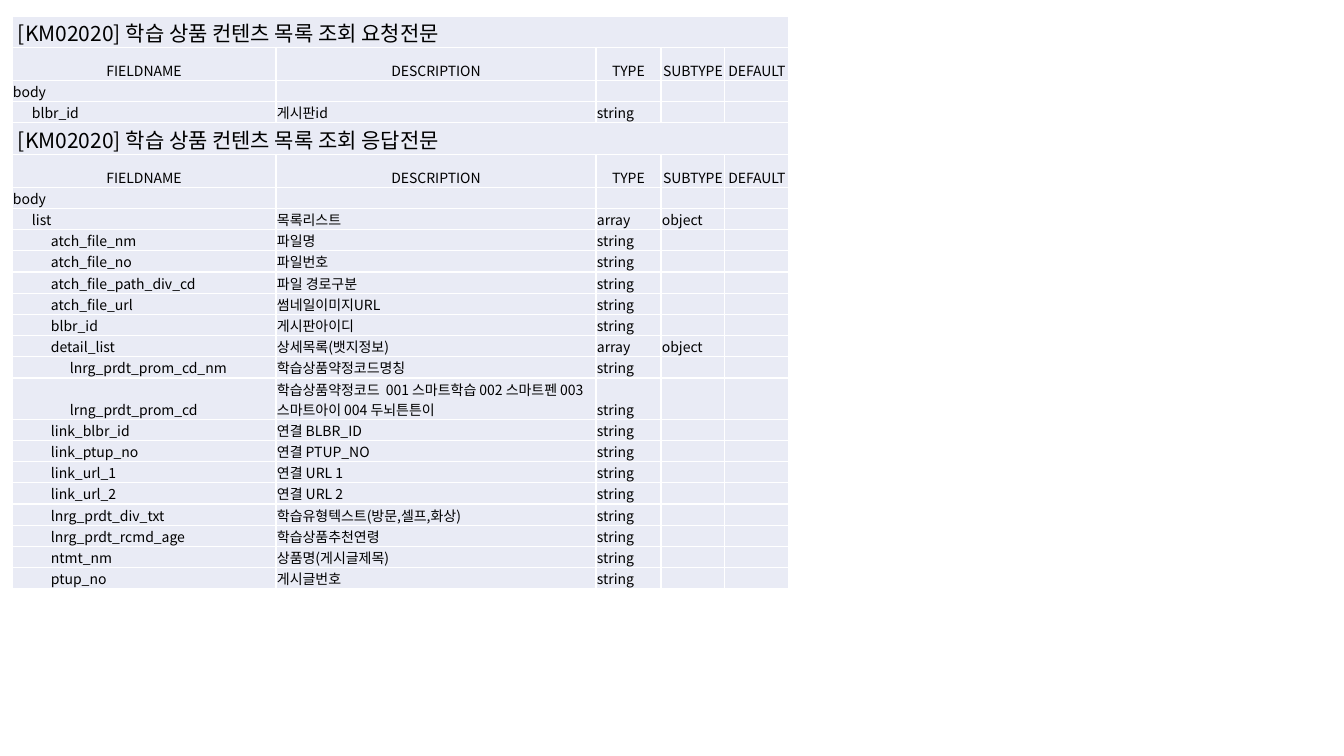
from dataclasses import dataclass

from lxml import etree
from pptx import Presentation
from pptx.dml.color import RGBColor
from pptx.enum.text import MSO_ANCHOR, PP_ALIGN
from pptx.oxml.ns import qn
from pptx.util import Pt

BOTTOM = MSO_ANCHOR.BOTTOM
LEFT, CENTER = PP_ALIGN.LEFT, PP_ALIGN.CENTER
EMU_PER_PX = 914400 / 100.8


@dataclass(frozen=True)
class Theme:
    font: str = "Noto Sans CJK KR"
    ink: str = "000000"
    cell: str = "E9EBF5"
    rule: str = "FFFFFF"
    rule_pt: int = 1
    title_pt: int = 15
    field_pt: int = 10


THEME = Theme()
SLIDE_SIZE = (1344, 756)
TABLE_BOX = (12, 16, 777)
COLUMN_SHARES = (264, 320, 65, 64, 64)
TITLE_HEIGHT, HEADER_HEIGHT, LINE_HEIGHT = 27, 33, 17
TITLE_INDENT, LEVEL_INDENT = 5, 19
HEADERS = ("FIELDNAME", "DESCRIPTION", "TYPE", "SUBTYPE", "DEFAULT")

# Field: level, name, description, type, subtype, lines
REQUEST = (
    "[KM02020] 학습 상품 컨텐츠 목록 조회 요청전문",
    [
        (0, "body", "", "", "", 1),
        (1, "blbr_id", "게시판id", "string", "", 1),
    ],
)
RESPONSE = (
    "[KM02020] 학습 상품 컨텐츠 목록 조회 응답전문",
    [
        (0, "body", "", "", "", 1),
        (1, "list", "목록리스트", "array", "object", 1),
        (2, "atch_file_nm", "파일명", "string", "", 1),
        (2, "atch_file_no", "파일번호", "string", "", 1),
        (2, "atch_file_path_div_cd", "파일 경로구분", "string", "", 1),
        (2, "atch_file_url", "썸네일이미지URL", "string", "", 1),
        (2, "blbr_id", "게시판아이디", "string", "", 1),
        (2, "detail_list", "상세목록(뱃지정보)", "array", "object", 1),
        (3, "lnrg_prdt_prom_cd_nm", "학습상품약정코드명칭", "string", "", 1),
        (3, "lrng_prdt_prom_cd",
         "학습상품약정코드  001 스마트학습 002 스마트펜 003 스마트아이 004 두뇌튼튼이",
         "string", "", 2),
        (2, "link_blbr_id", "연결 BLBR_ID", "string", "", 1),
        (2, "link_ptup_no", "연결 PTUP_NO", "string", "", 1),
        (2, "link_url_1", "연결 URL 1", "string", "", 1),
        (2, "link_url_2", "연결 URL 2", "string", "", 1),
        (2, "lnrg_prdt_div_txt", "학습유형텍스트(방문,셀프,화상)", "string", "", 1),
        (2, "lnrg_prdt_rcmd_age", "학습상품추천연령", "string", "", 1),
        (2, "ntmt_nm", "상품명(게시글제목)", "string", "", 1),
        (2, "ptup_no", "게시글번호", "string", "", 1),
    ],
)


def px(length):
    return round(length * EMU_PER_PX)


def rule_cell(cell):
    """Draw the four borders of a cell, placed ahead of its fill."""
    properties = cell._tc.get_or_add_tcPr()
    for position, side in enumerate(("lnL", "lnR", "lnT", "lnB")):
        border = etree.Element(qn(f"a:{side}"), w=str(Pt(THEME.rule_pt)))
        fill = etree.SubElement(border, qn("a:solidFill"))
        etree.SubElement(fill, qn("a:srgbClr"), val=THEME.rule)
        properties.insert(position, border)


def fill_cell(cell, text, size=THEME.field_pt, align=LEFT, indent=0):
    cell.fill.solid()
    cell.fill.fore_color.rgb = RGBColor.from_string(THEME.cell)
    cell.vertical_anchor = BOTTOM
    cell.margin_left = cell.margin_right = cell.margin_top = px(1)
    cell.margin_bottom = 0
    rule_cell(cell)
    paragraph = cell.text_frame.paragraphs[0]
    if not text:
        etree.SubElement(paragraph._p, qn("a:endParaRPr"), sz=str(size * 100))
        return
    paragraph.alignment = align
    if indent:
        paragraph._p.get_or_add_pPr().set("marL", str(px(indent)))
    run = paragraph.add_run()
    run.text = text
    run.font.size = Pt(size)
    run.font.name = THEME.font
    run.font.color.rgb = RGBColor.from_string(THEME.ink)
    etree.SubElement(run._r.get_or_add_rPr(), qn("a:ea"), typeface=THEME.font)


def fill_message(table, first_row, message):
    """Fill one message's title, header and fields; return the next free row."""
    title, fields = message
    title_cells = table.rows[first_row].cells
    for column, cell in enumerate(title_cells):
        fill_cell(cell, "" if column else title, THEME.title_pt, indent=TITLE_INDENT)
    table.cell(first_row, 0).merge(table.cell(first_row, len(HEADERS) - 1))
    table.rows[first_row].height = px(TITLE_HEIGHT)

    header_row = first_row + 1
    table.rows[header_row].height = px(HEADER_HEIGHT)
    for column, header in enumerate(HEADERS):
        fill_cell(table.cell(header_row, column), header, align=CENTER)

    for row, (level, *values, lines) in enumerate(fields, header_row + 1):
        table.rows[row].height = px(LINE_HEIGHT * lines)
        for column, value in enumerate((*values, "")):
            indent = 0 if column else level * LEVEL_INDENT
            fill_cell(table.cell(row, column), value, indent=indent)
    return header_row + 1 + len(fields)


def add_message_table(slide, box, messages):
    left, top, width = box
    row_count = sum(2 + len(fields) for _, fields in messages)
    frame = slide.shapes.add_table(
        row_count, len(HEADERS), px(left), px(top), px(width),
        px(LINE_HEIGHT * row_count))
    table = frame.table
    table.first_row = table.horz_banding = False
    for column, share in zip(table.columns, COLUMN_SHARES):
        column.width = px(width * share / sum(COLUMN_SHARES))
    next_row = 0
    for message in messages:
        next_row = fill_message(table, next_row, message)
    frame.height = sum(row.height for row in table.rows)


def main():
    deck = Presentation()
    deck.slide_width, deck.slide_height = map(px, SLIDE_SIZE)
    slide = deck.slides.add_slide(deck.slide_layouts[6])
    add_message_table(slide, TABLE_BOX, (REQUEST, RESPONSE))
    deck.save("out.pptx")


if __name__ == "__main__":
    main()
